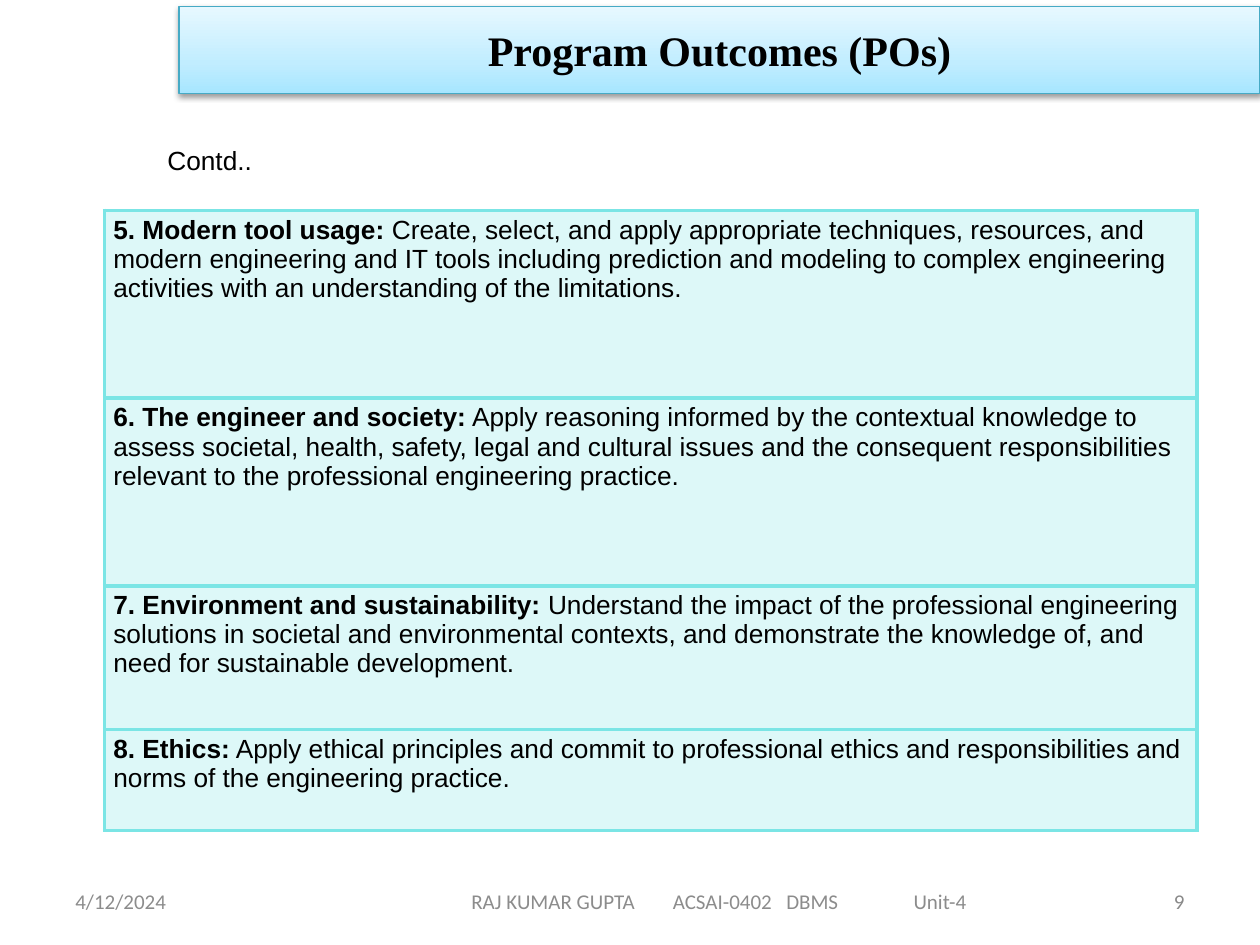
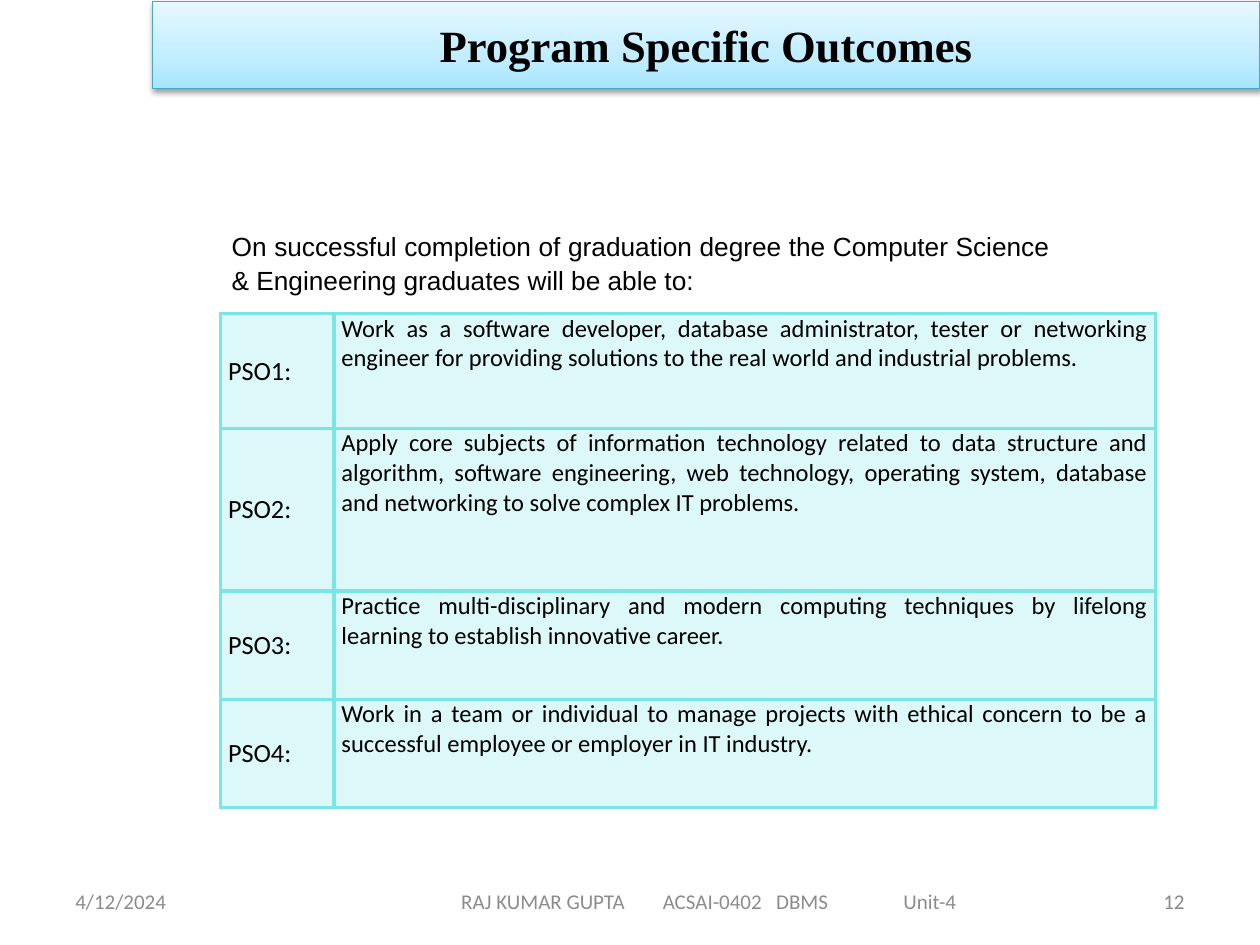
from copy import deepcopy

from pptx import Presentation
from pptx.dml.color import RGBColor
from pptx.enum.shapes import MSO_SHAPE
from pptx.enum.text import MSO_ANCHOR, MSO_AUTO_SIZE, PP_ALIGN
from pptx.oxml import parse_xml
from pptx.oxml.ns import nsdecls, qn
from pptx.util import Inches, Pt

# Shared look
BLACK, GREY, NUMBER_GREY = "000000", "8C8C8C", "898989"
AQUA, BAND_EDGE = "7BE5E5", "46AAC5"
BAND_STOPS = [(0, "A7E6FF"), (0.35, "C1EDFF"), (1, "E7F8FF")]
BAND_SHADOW = (
    f'<a:outerShdw {nsdecls("a")} blurRad="40000" dist="20000" dir="5400000" rotWithShape="0">'
    f'<a:srgbClr val="{BLACK}"><a:alpha val="38000"/></a:srgbClr></a:outerShdw>')
DATE = "4/12/2024"
COURSE = "RAJ KUMAR GUPTA\tACSAI-0402\tDBMS\tUnit-4"
COURSE_TABS = [1.6, 2.5, 3.51]
COURSE_WIDTH = 3.94
FOOTER_TOP, FOOTER_HEIGHT = 6.95, 0.4

# What each slide says
slides = [
    dict(
        title="Program Outcomes (POs)", title_size=24, band=(1.42, 0.05, 8.58, 0.69),
        intro="Contd..", intro_box=(1.23, 1.07, 0.88, 0.35), intro_wrap=False,
        intro_align=PP_ALIGN.LEFT,
        number="9", course_width=4.58,
        table_at=(0.83, 1.67), columns=[8.67], row_heights=[1.49, 1.49, 1.14, 0.8],
        insets=(0.07, 0.04),
        rows=[
            [("5. Modern tool usage: ",
              "Create, select, and apply appropriate techniques, resources, and modern "
              "engineering and IT tools including prediction and modeling to complex "
              "engineering activities with an understanding of the limitations.")],
            [("6. The engineer and society:",
              " Apply reasoning informed by the contextual knowledge to assess societal, "
              "health, safety, legal and cultural issues and the consequent "
              "responsibilities relevant to the professional engineering practice.")],
            [("7. Environment and sustainability: ",
              "Understand the impact of the professional engineering solutions in societal "
              "and environmental contexts, and demonstrate the knowledge of, and need for "
              "sustainable development.")],
            [("8. Ethics:",
              " Apply ethical principles and commit to professional ethics and "
              "responsibilities and norms of the engineering practice.")],
        ],
        column_formats=[dict(size=15, font="Arial")],
    ),
    dict(
        title="Program Specific Outcomes", title_size=25.5, band=(1.21, 0.01, 8.79, 0.69),
        intro="On successful completion of graduation degree the Computer Science "
              "& Engineering graduates will be able to:",
        intro_box=(1.74, 1.75, 6.69, 0.61), intro_wrap=True,
        intro_align=PP_ALIGN.JUSTIFY,
        number="12", course_width=4.42,
        table_at=(1.75, 2.49), columns=[0.9, 6.52], row_heights=[0.91, 1.29, 0.86, 0.86],
        insets=(0.06, 0),
        rows=[
            [("", "PSO1:"),
             ("", "Work as a software developer, database administrator, tester or networking "
                  "engineer for providing solutions to the real world and industrial problems.")],
            [("", "PSO2:"),
             ("", "Apply core subjects of information technology related to data structure and "
                  "algorithm, software engineering, web technology, operating system, database "
                  "and networking to solve complex IT problems.")],
            [("", "PSO3:"),
             ("", "Practice multi-disciplinary and modern computing techniques by lifelong "
                  "learning to establish innovative career.")],
            [("", "PSO4:"),
             ("", "Work in a team or individual to manage projects with ethical concern to be a "
                  "successful employee or employer in IT industry.")],
        ],
        column_formats=[
            dict(size=15, align=PP_ALIGN.JUSTIFY, anchor=MSO_ANCHOR.MIDDLE),
            dict(size=14, align=PP_ALIGN.JUSTIFY),
        ],
    ),
]


def color(hex_code):
    return RGBColor.from_string(hex_code)


def write(frame, text, lead="", size=12, font="Calibri", ink=BLACK, bold=False,
          align=PP_ALIGN.LEFT, anchor=MSO_ANCHOR.TOP, spacing=None, tabs=()):
    """Fill a text frame with one paragraph, opened by an optional bold lead."""
    frame.word_wrap = True
    frame.vertical_anchor = anchor
    paragraph = frame.paragraphs[0]
    paragraph.alignment = align
    if spacing:
        paragraph.line_spacing = spacing
    if tabs:
        stops = "".join(f'<a:tab pos="{Inches(tab)}" algn="l"/>' for tab in tabs)
        paragraph._p.get_or_add_pPr().append(
            parse_xml(f'<a:tabLst {nsdecls("a")}>{stops}</a:tabLst>'))
    for words, heavy in ((lead, True), (text, bold)):
        if words:
            run = paragraph.add_run()
            run.text = words
            run.font.size, run.font.name, run.font.bold = Pt(size), font, heavy
            run.font.color.rgb = color(ink)


prs = Presentation()
prs.slide_width, prs.slide_height = Inches(10), Inches(7.5)

for content in slides:
    slide = prs.slides.add_slide(prs.slide_layouts[6])

    # Footer: date, course line, slide number
    course_width = content["course_width"]
    footers = [
        (0.5, 2.33, DATE, dict(ink=GREY)),
        (3.42, course_width, COURSE, dict(ink=GREY, tabs=COURSE_TABS)),
        (7.17, 2.33, content["number"], dict(ink=NUMBER_GREY, align=PP_ALIGN.RIGHT)),
    ]
    for left, width, words, look in footers:
        footer = slide.shapes.add_textbox(Inches(left), Inches(FOOTER_TOP),
                                          Inches(width), Inches(FOOTER_HEIGHT)).text_frame
        write(footer, words, anchor=MSO_ANCHOR.MIDDLE, **look)
        if words == COURSE:
            # The tabbed line is centred by its left inset
            footer.margin_left = Inches((course_width - COURSE_WIDTH) / 2)
            footer.margin_right = 0

    # Outcomes table
    columns, heights = content["columns"], content["row_heights"]
    left, top = content["table_at"]
    outcomes = slide.shapes.add_table(
        len(heights), len(columns), Inches(left), Inches(top),
        Inches(sum(columns)), Inches(sum(heights))).table
    outcomes.first_row = outcomes.horz_banding = False
    for column, width in zip(outcomes.columns, columns):
        column.width = Inches(width)
    side, vertical = content["insets"]
    for row, height, entries in zip(outcomes.rows, heights, content["rows"]):
        row.height = Inches(height)
        for cell, (lead, words), look in zip(row.cells, entries, content["column_formats"]):
            look = dict(look)
            cell.vertical_anchor = look.pop("anchor", MSO_ANCHOR.TOP)
            cell.margin_left = cell.margin_right = Inches(side)
            cell.margin_top = cell.margin_bottom = Inches(vertical)
            write(cell.text_frame, words, lead, **look)
            # Translucent fill and aqua borders
            cell.fill.solid()
            cell.fill.fore_color.rgb = color(AQUA)
            properties = cell._tc.get_or_add_tcPr()
            tint = properties.find(qn("a:solidFill"))[0]
            tint.append(parse_xml(f'<a:alpha {nsdecls("a")} val="25000"/>'))
            for place, edge in enumerate(("lnL", "lnR", "lnT", "lnB")):
                properties.insert(place, parse_xml(
                    f'<a:{edge} {nsdecls("a")} w="{Pt(2.25)}"><a:solidFill>'
                    f'<a:srgbClr val="{AQUA}"/></a:solidFill></a:{edge}>'))

    # Title band
    band = slide.shapes.add_shape(MSO_SHAPE.RECTANGLE, *map(Inches, content["band"]))
    band.fill.gradient()
    band.fill.gradient_angle = 90
    stop_list = band._element.spPr.find(qn("a:gradFill")).find(qn("a:gsLst"))
    stop_list.append(deepcopy(stop_list[-1]))
    for stop, (position, shade) in zip(band.fill.gradient_stops, BAND_STOPS):
        stop.position = position
        stop.color.rgb = color(shade)
    band.line.color.rgb = color(BAND_EDGE)
    band.line.width = Pt(0.75)
    band.shadow.inherit = False
    band._element.spPr.find(qn("a:effectLst")).append(parse_xml(BAND_SHADOW))
    write(band.text_frame, content["title"], size=content["title_size"], bold=True,
          font="Times New Roman", align=PP_ALIGN.CENTER, anchor=MSO_ANCHOR.MIDDLE)

    # Line above the table
    intro = slide.shapes.add_textbox(*map(Inches, content["intro_box"])).text_frame
    write(intro, content["intro"], size=15, font="Arial", spacing=1.1,
          align=content["intro_align"])
    intro.word_wrap = content["intro_wrap"]
    intro.auto_size = MSO_AUTO_SIZE.SHAPE_TO_FIT_TEXT

prs.save("out.pptx")
